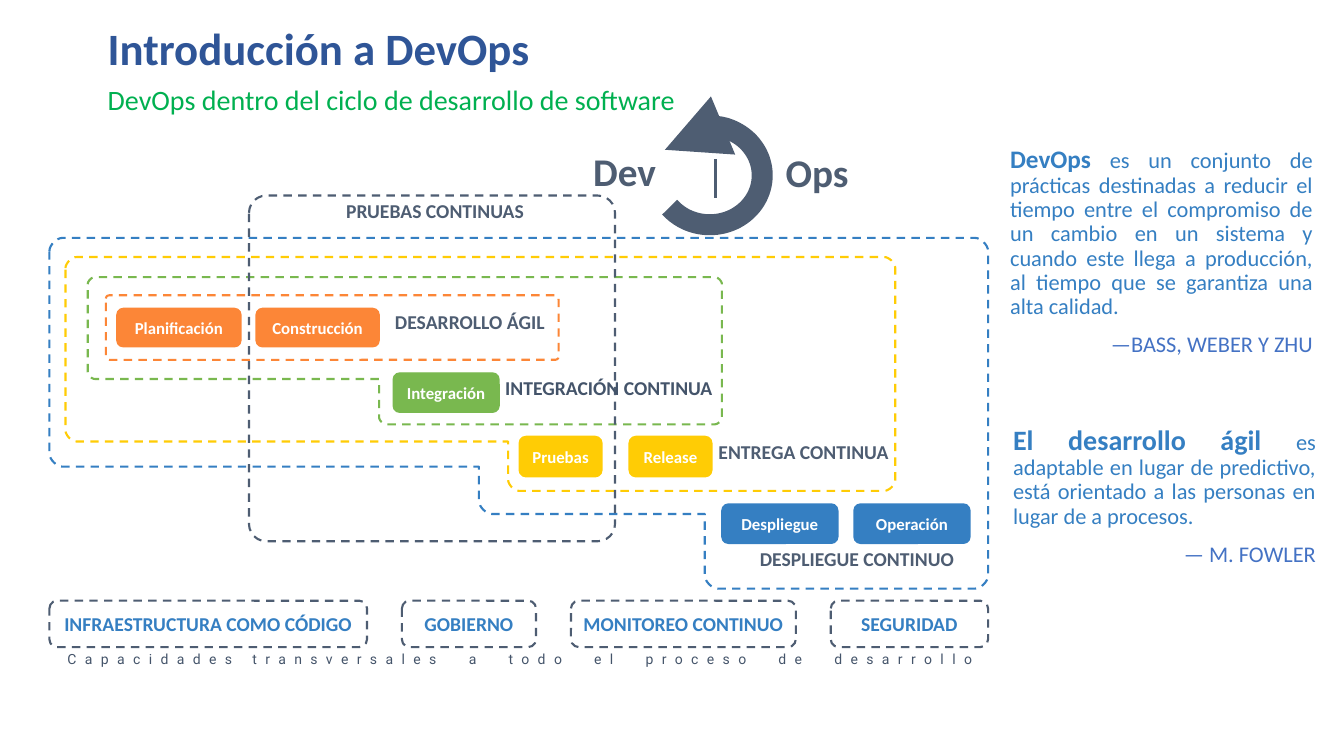
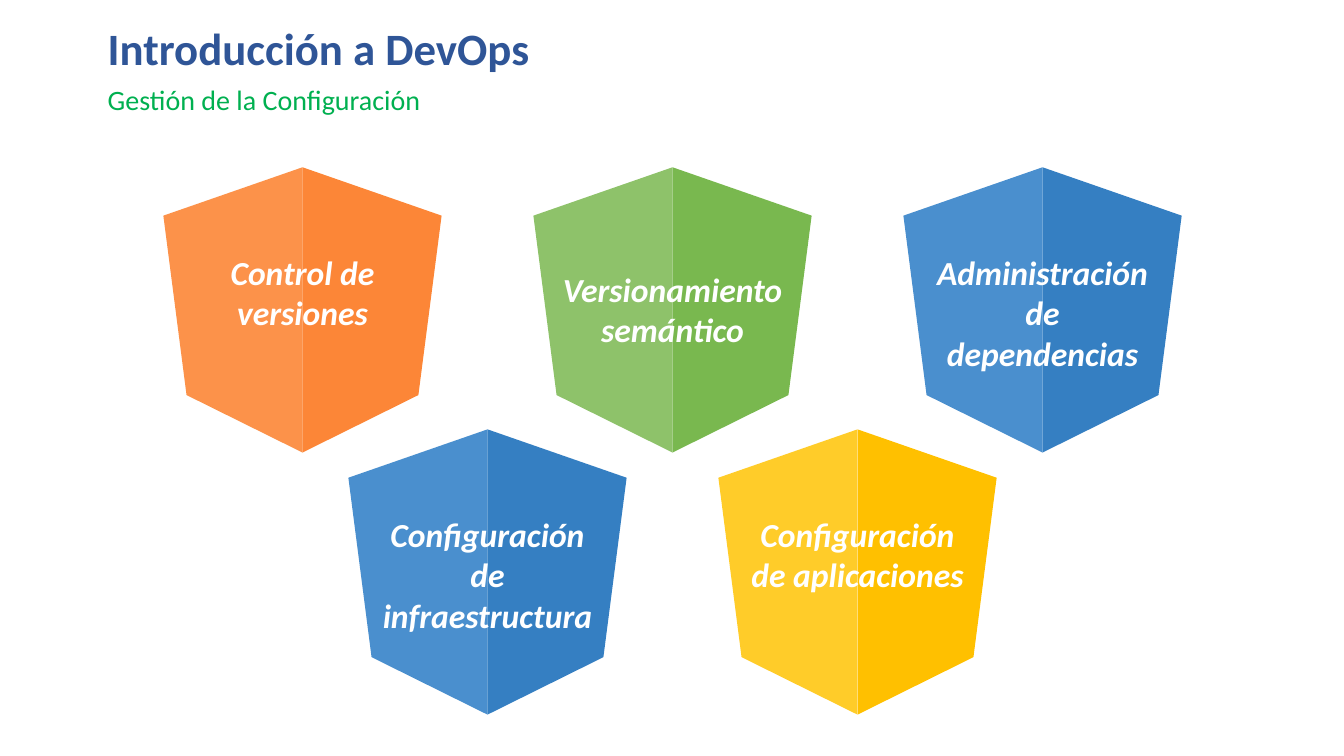
"""Builds two slides on DevOps: its place in the software cycle and configuration management."""
from dataclasses import dataclass

from lxml import etree
from pptx import Presentation
from pptx.dml.color import RGBColor
from pptx.enum.dml import MSO_LINE
from pptx.enum.shapes import MSO_CONNECTOR, MSO_SHAPE
from pptx.enum.text import MSO_ANCHOR, PP_ALIGN
from pptx.oxml.ns import qn
from pptx.util import Inches, Pt

ROUNDED, ARC = MSO_SHAPE.ROUNDED_RECTANGLE, MSO_SHAPE.ARC
STRAIGHT, DASH = MSO_CONNECTOR.STRAIGHT, MSO_LINE.DASH
LEFT, CENTER, RIGHT, JUSTIFY = PP_ALIGN.LEFT, PP_ALIGN.CENTER, PP_ALIGN.RIGHT, PP_ALIGN.JUSTIFY
TOP, MIDDLE = MSO_ANCHOR.TOP, MSO_ANCHOR.MIDDLE


@dataclass(frozen=True)
class Theme:
    """Colours, fonts and type sizes of the deck."""
    title: str = "2F5597"
    subtitle: str = "00B050"
    slate: str = "4E5D72"
    ink: str = "44546A"
    author: str = "4472C4"
    white: str = "FFFFFF"
    orange: str = "FC8637"
    orange_light: str = "FC924A"
    green: str = "79B84F"
    green_light: str = "8EC26A"
    blue: str = "357FC2"
    blue_light: str = "4A8FCE"
    yellow: str = "FFCC05"
    amber: str = "FFC000"
    amber_light: str = "FFCC29"
    font: str = "Calibri"
    note_font: str = "Roboto"
    title_size: int = 32
    wheel_size: int = 28
    shield_size: int = 24
    subtitle_size: int = 20
    quote_size: int = 16
    label_size: int = 14
    pill_size: int = 12
    note_size: int = 10


T = Theme()
SLIDE_W, SLIDE_H = 13.33, 7.5
TITLE = "Introducción a DevOps"
CYCLE_SUBTITLE = "DevOps dentro del ciclo de desarrollo de software"
CONFIG_SUBTITLE = "Gestión de la Configuración"

BOXES = [
    ((2.47, 1.94, 3.63, 3.43), T.slate),
    ((1.05, 2.93, 4.49, 0.64), T.orange),
]
STEPPED_FRAMES = [
    (T.blue, 0.13, [(0.49, 2.36), (9.8, 2.36), (9.8, 5.84), (6.99, 5.84),
                    (6.99, 5.1), (4.75, 5.1), (4.75, 4.63), (0.49, 4.63)]),
    (T.yellow, 0.11, [(0.65, 2.55), (8.88, 2.55), (8.88, 4.87),
                      (5.04, 4.87), (5.04, 4.38), (0.65, 4.38)]),
    (T.green, 0.07, [(0.87, 2.75), (7.16, 2.75), (7.16, 4.21),
                     (3.76, 4.21), (3.76, 3.76), (0.87, 3.76)]),
]
PRACTICES = [
    ("PRUEBAS CONTINUAS", (3.06, 1.98, 2.51, 0.34), T.slate),
    ("DESARROLLO ÁGIL", (3.64, 3.08, 2.04, 0.36), T.slate),
    ("INTEGRACIÓN CONTINUA", (4.76, 3.73, 2.56, 0.36), T.ink),
    ("ENTREGA CONTINUA", (6.69, 4.37, 2.56, 0.36), T.slate),
    ("DESPLIEGUE CONTINUO", (7.22, 5.43, 2.56, 0.36), T.slate),
]
STAGES = [
    ("Planificación", (1.16, 3.06, 1.23, 0.38), T.orange),
    ("Construcción", (2.54, 3.06, 1.22, 0.38), T.orange),
    ("Integración", (3.9, 3.7, 1.05, 0.39), T.green),
    ("Pruebas", (5.15, 4.33, 0.82, 0.4), T.yellow),
    ("Release", (6.24, 4.33, 0.82, 0.4), T.yellow),
    ("Despliegue", (7.16, 5, 1.15, 0.39), T.blue),
    ("Operación", (8.47, 5, 1.15, 0.39), T.blue),
]
CAPABILITIES = [
    ("INFRAESTRUCTURA COMO CÓDIGO", 3.15),
    ("GOBIERNO", 1.33),
    ("MONITOREO CONTINUO", 2.23),
    ("SEGURIDAD", 1.56),
]
CAPABILITY_LEFT, CAPABILITY_TOP, CAPABILITY_SPAN, CAPABILITY_H = 0.49, 5.96, 9.31, 0.46
CAPABILITY_NOTE = "Capacidades transversales a todo el proceso de desarrollo"
WHEEL_WORDS = [("Dev", (5.41, 1.41, 1.57, 0.57)), ("Ops", (7.32, 1.42, 1.57, 0.57))]
QUOTES = [
    ((9.92, 1.41, 3.2, 2.37), "DevOps", 18,
     " es un conjunto de prácticas destinadas a reducir el tiempo entre el compromiso de un cambio "
     "en un sistema y cuando este llega a producción, al tiempo que se garantiza una alta calidad.",
     "—BASS, WEBER Y ZHU"),
    ((9.95, 4.18, 3.2, 1.84), "El desarrollo ágil ", 20,
     "es adaptable en lugar de predictivo, está orientado a las personas en lugar de a procesos.",
     "— M. FOWLER"),
]

SHIELD_HALF = [(0, 0), (1.38, 0.48), (1.15, 2.26), (0, 2.83)]
SHIELD_LEFT, SHIELD_TOP, SHIELD_PITCH, SHIELD_ROW = 3.0, 1.66, 3.67, 2.6
SHIELD_LABEL_W, SHIELD_LABEL_H = 2.49, 1.31
SHIELDS = [
    ("Control de versiones", 0, 0, 0.79, T.orange_light, T.orange),
    ("Versionamiento semántico", 1, 0, 0.96, T.green_light, T.green),
    ("Administración de dependencias", 2, 0, 0.79, T.blue_light, T.blue),
    ("Configuración de infraestructura", 0.5, 1, 0.79, T.blue_light, T.blue),
    ("Configuración de aplicaciones", 1.5, 1, 0.79, T.amber_light, T.amber),
]


def rgb(color):
    """Turn a hex string into a colour."""
    return RGBColor.from_string(color)


def paint(shape, fill=None, line=None, width=1.5, dash=None):
    """Set fill and outline and remove the shadow."""
    shape.shadow.inherit = False
    if fill:
        shape.fill.solid()
        shape.fill.fore_color.rgb = rgb(fill)
    else:
        shape.fill.background()
    if line:
        shape.line.color.rgb = rgb(line)
        shape.line.width = Pt(width)
        shape.line.dash_style = dash
    else:
        shape.line.fill.background()
    return shape


def style(paragraph, size, color, bold=False, italic=False, align=LEFT, spacing=None, font=T.font):
    """Format a whole paragraph."""
    paragraph.alignment = align
    if spacing:
        paragraph.line_spacing = spacing
    face = paragraph.font
    face.name, face.size, face.bold, face.italic = font, Pt(size), bold, italic
    face.color.rgb = rgb(color)
    return paragraph


def set_frame(shape, inset=(0.1, 0.05), anchor=TOP):
    """Prepare a text frame and return it."""
    frame = shape.text_frame
    frame.word_wrap = True
    frame.vertical_anchor = anchor
    frame.margin_left = frame.margin_right = Inches(inset[0])
    frame.margin_top = frame.margin_bottom = Inches(inset[1])
    return frame


def text_frame(slide, place, inset=(0.1, 0.05)):
    """Add a wrapping text box and return its frame."""
    return set_frame(slide.shapes.add_textbox(*map(Inches, place)), inset)


def add_label(slide, text, place, size, color, inset=(0.1, 0.05), **look):
    """Add a text box with one paragraph."""
    paragraph = text_frame(slide, place, inset).paragraphs[0]
    paragraph.text = text
    style(paragraph, size, color, **look)


def add_box(slide, place, text="", size=T.label_size, color=T.white, corner=None, **look):
    """Add a rounded rectangle, with a bold centred label if there is one."""
    box = paint(slide.shapes.add_shape(ROUNDED, *map(Inches, place)), **look)
    if corner:
        box.adjustments[0] = corner
    if text:
        paragraph = set_frame(box, (0.05, 0.05), MIDDLE).paragraphs[0]
        paragraph.text = text
        style(paragraph, size, color, bold=True, align=CENTER)


def add_outline(slide, points, **look):
    """Add a closed outline through points given in inches."""
    first, *rest = [(Inches(x), Inches(y)) for x, y in points]
    builder = slide.shapes.build_freeform(*first, scale=1.0)
    builder.add_line_segments(rest, close=True)
    paint(builder.convert_to_shape(), **look)


def toward(start, end, distance):
    """Return the point at a distance from start on the way to end."""
    length = abs(end[0] - start[0]) + abs(end[1] - start[1])
    return tuple(a + (b - a) * distance / length for a, b in zip(start, end))


def round_corners(corners, radius, steps=8):
    """Round the outward corners of a clockwise right-angled outline."""
    points = []
    for i, corner in enumerate(corners):
        before, after = corners[i - 1], corners[(i + 1) % len(corners)]
        turn = ((corner[0] - before[0]) * (after[1] - corner[1])
                - (corner[1] - before[1]) * (after[0] - corner[0]))
        if turn < 0:
            points.append(corner)
            continue
        entry, leave = toward(corner, before, radius), toward(corner, after, radius)
        for step in range(steps + 1):
            t = step / steps
            weights = (1 - t) ** 2 + 0.66 * t * (1 - t) ** 2, t ** 2 + 0.66 * t ** 2 * (1 - t)
            pull = 1 - sum(weights)
            points.append(tuple(weights[0] * a + pull * c + weights[1] * b
                                for a, c, b in zip(entry, corner, leave)))
    return points


def add_heading(slide, subtitle):
    """Add the title and subtitle shared by the slides."""
    add_label(slide, TITLE, (0.97, 0.22, 6.63, 0.6), T.title_size, T.title, bold=True, spacing=0.9)
    add_label(slide, subtitle, (0.97, 0.81, 6.63, 0.49), T.subtitle_size, T.subtitle, spacing=0.9)


def add_wheel(slide):
    """Add the circular arrow between Dev and Ops."""
    for word, place in WHEEL_WORDS:
        add_label(slide, word, place, T.wheel_size, T.slate, bold=True, align=CENTER)
    arrow = slide.shapes.add_shape(ARC, *map(Inches, (6.52, 1.25, 1.04, 0.98)))
    arrow.adjustments[0], arrow.adjustments[1] = 125.83, 84.94
    paint(arrow, line=T.slate, width=15)
    etree.SubElement(arrow.line._get_or_add_ln(), qn("a:headEnd"), type="triangle")
    divider = slide.shapes.add_connector(STRAIGHT, *map(Inches, (7.1, 1.96, 7.1, 1.58)))
    divider.line.color.rgb = rgb(T.slate)
    divider.line.width = Pt(2.25)
    etree.SubElement(divider._element.spPr, qn("a:effectLst"))


def add_capabilities(slide):
    """Add the row of cross-cutting capabilities and its spaced-out note."""
    gap = (CAPABILITY_SPAN - sum(width for _, width in CAPABILITIES)) / (len(CAPABILITIES) - 1)
    left = CAPABILITY_LEFT
    for name, width in CAPABILITIES:
        add_box(slide, (left, CAPABILITY_TOP, width, CAPABILITY_H), name, color=T.blue,
                line=T.slate, dash=DASH)
        left += width + gap
    note = text_frame(slide, (0.57, 6.42, 9.38, 0.25)).paragraphs[0]
    style(note, T.note_size, T.ink, align=JUSTIFY, spacing=0.9, font=T.note_font)
    for i, word in enumerate(CAPABILITY_NOTE.split()):
        gap_tracking = 600 if i == 1 else 1450
        pieces = [(" ", gap_tracking), (word, 600)] if i else [(word, 600)]
        for text, tracking in pieces:
            run = note.add_run()
            run.text = text
            run._r.get_or_add_rPr().set("spc", str(tracking))


def add_quote(slide, place, lead, lead_size, body, author):
    """Add a quotation with an emphasised opening and its author."""
    frame = text_frame(slide, place)
    quote = style(frame.paragraphs[0], T.quote_size, T.blue, align=JUSTIFY, spacing=0.9)
    opening, rest = quote.add_run(), quote.add_run()
    opening.text, rest.text = lead, body
    opening.font.size, opening.font.bold = Pt(lead_size), True
    credit = frame.add_paragraph()
    credit.text = author
    credit.space_before = Pt(10)
    style(credit, T.quote_size, T.author, align=RIGHT, spacing=0.9)


def build_cycle(slide):
    """Lay out the nested practices of the development cycle."""
    for color, radius, corners in STEPPED_FRAMES:
        add_outline(slide, round_corners(corners, radius), line=color, dash=DASH)
    for place, color in BOXES:
        add_box(slide, place, corner=0.05, line=color, dash=DASH)
    add_heading(slide, CYCLE_SUBTITLE)
    for name, place, color in PRACTICES:
        add_label(slide, name, place, T.label_size, color, (0.19, 0.09),
                  bold=True, align=CENTER, spacing=Pt(11.1))
    for name, place, color in STAGES:
        add_box(slide, place, name, T.pill_size, fill=color, line=color, width=1)
    add_wheel(slide)
    add_capabilities(slide)
    for quote in QUOTES:
        add_quote(slide, *quote)


def build_configuration(slide):
    """Lay out the shields of configuration management."""
    add_heading(slide, CONFIG_SUBTITLE)
    for name, column, row, drop, light, dark in SHIELDS:
        center, top = SHIELD_LEFT + column * SHIELD_PITCH, SHIELD_TOP + row * SHIELD_ROW
        for side, color in ((1, dark), (-1, light)):
            add_outline(slide, [(center + side * x, top + y) for x, y in SHIELD_HALF], fill=color)
        add_label(slide, name, (center - SHIELD_LABEL_W / 2, top + drop, SHIELD_LABEL_W, SHIELD_LABEL_H),
                  T.shield_size, T.white, bold=True, italic=True, align=CENTER)


def main():
    """Build and save the deck."""
    deck = Presentation()
    deck.slide_width, deck.slide_height = Inches(SLIDE_W), Inches(SLIDE_H)
    for build in (build_cycle, build_configuration):
        build(deck.slides.add_slide(deck.slide_layouts[6]))
    deck.save("out.pptx")


if __name__ == "__main__":
    main()
